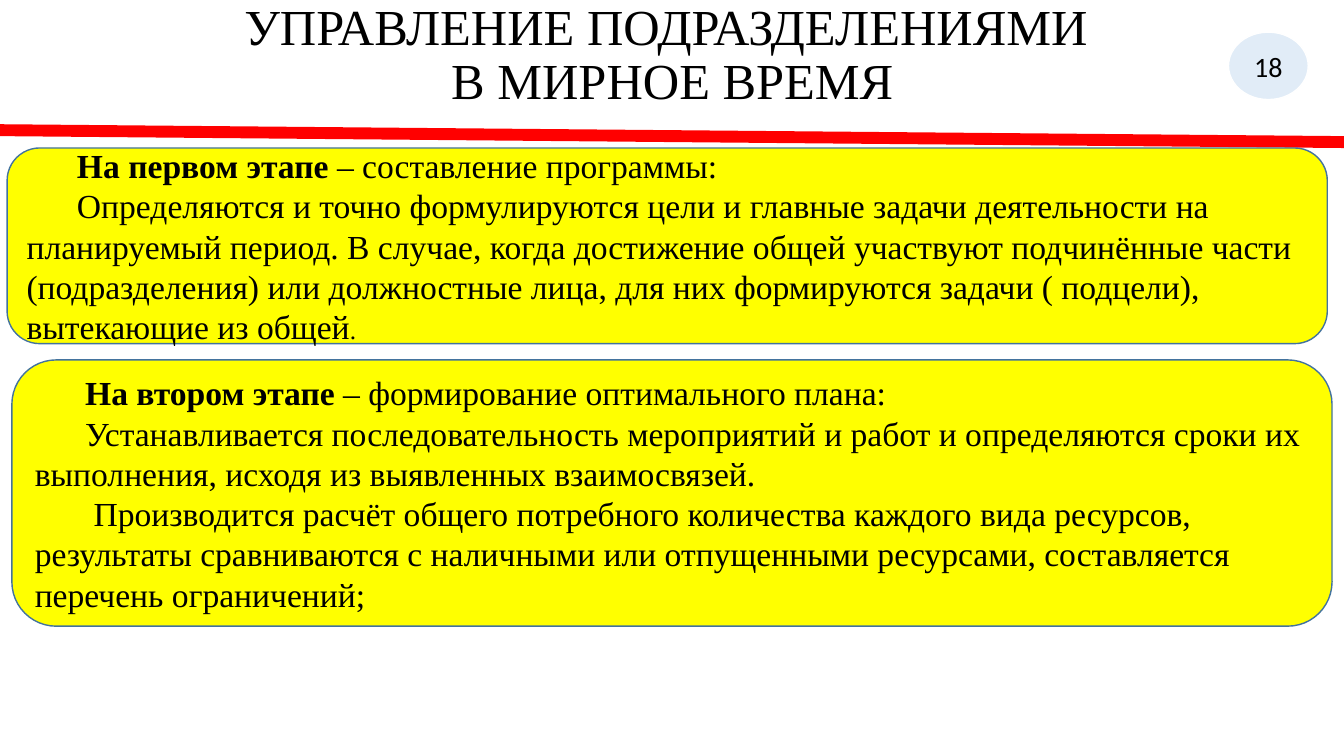
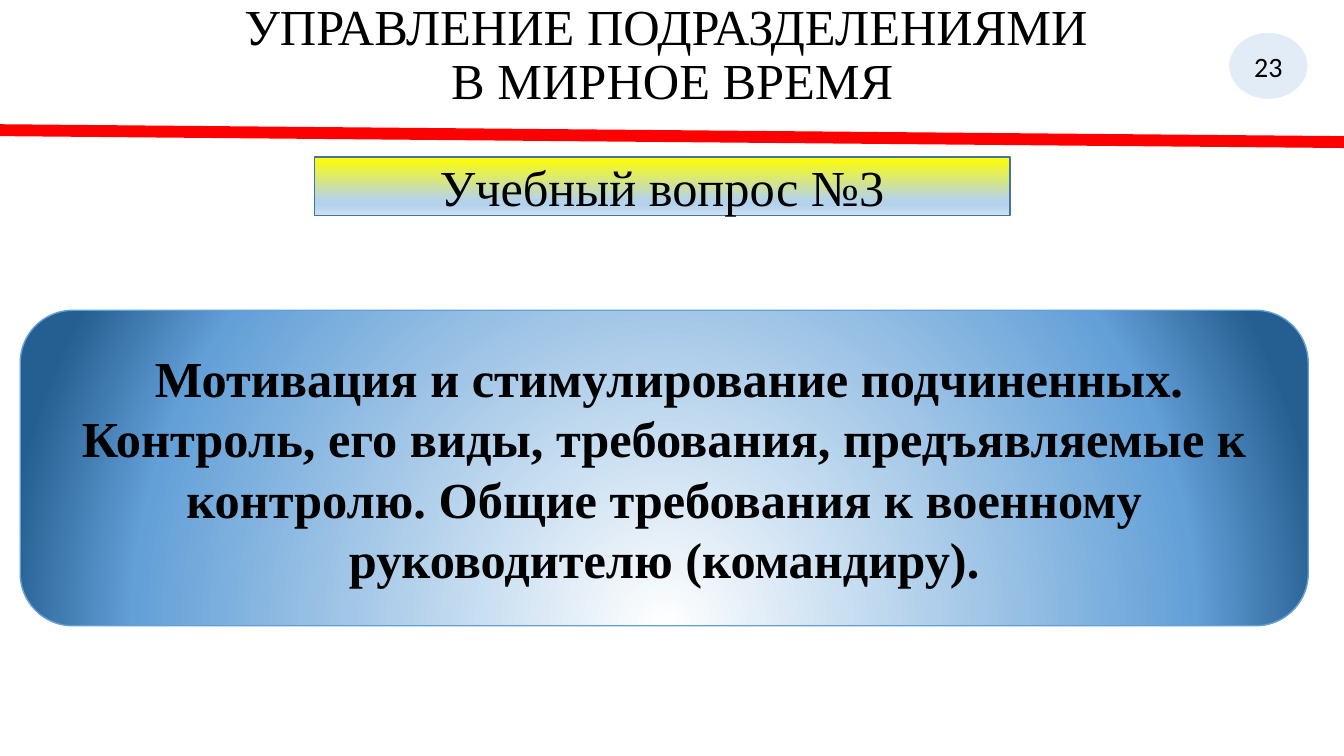
from lxml import etree
from pptx import Presentation
from pptx import util as u
from pptx.dml.color import RGBColor
from pptx.enum import shapes, text
from pptx.oxml import parse_xml
from pptx.oxml.ns import nsdecls, qn

SERIF, SANS = "Times New Roman", "Calibri"
BLACK, WHITE, RED, YELLOW = "000000", "FFFFFF", "FF0000", "FFFF00"
BLUE, OUTLINE, SKY = "5B9BD5", "43739E", "63A0D7"
WIDTH, HEIGHT = 33.87, 19.05
TITLE = "УПРАВЛЕНИЕ ПОДРАЗДЕЛЕНИЯМИ \vВ МИРНОЕ ВРЕМЯ"

QUESTION_STOPS = [(0, YELLOW), (74, "B5D2EC"), (83, "B5D2EC"), (100, "CEE1F2")]
TOPIC_STOPS = [(0, WHITE), (80, SKY), (100, "255E91")]
DOWNWARD = '<a:lin ang="5400000" scaled="0"/>'
FROM_BELOW = ('<a:path path="circle"><a:fillToRect l="50000" t="130000" '
              'r="50000" b="-30000"/></a:path>')


def color(value):
    return RGBColor.from_string(value)


class Deck:
    """Holds the shared style and the slide being built."""

    def __init__(self):
        self.prs = Presentation()
        self.prs.slide_width, self.prs.slide_height = u.Cm(WIDTH), u.Cm(HEIGHT)
        self.slide = None

    def new_slide(self, number):
        self.slide = self.prs.slides.add_slide(self.prs.slide_layouts[6])
        self.title()
        self.rule()
        self.badge(number)

    # Parts found on every slide
    def title(self):
        heading = self.slide.shapes.add_textbox(
            u.Cm(2.34), u.Cm(0), u.Cm(29.21), u.Cm(2.9))
        frame = heading.text_frame
        frame.word_wrap = True
        frame.margin_top = u.Cm(0.05)
        frame.text = TITLE
        line = frame.paragraphs[0]
        line.alignment = text.PP_ALIGN.CENTER
        line.line_spacing = 0.9
        for run in line.runs:
            self.style(run, 36)

    def rule(self):
        rule = self.slide.shapes.add_connector(
            shapes.MSO_CONNECTOR.STRAIGHT, u.Cm(0), u.Cm(3.28), u.Cm(WIDTH), u.Cm(3.58))
        rule.line.color.rgb = color(RED)
        rule.line.width = u.Pt(8.5)
        etree.SubElement(rule._element.spPr, qn("a:effectLst"))

    def badge(self, number):
        badge = self.box(shapes.MSO_SHAPE.OVAL, (30.96, 0.81, 2.01, 1.7), BLUE, WHITE)
        tint = badge._element.spPr.find(qn("a:solidFill"))[0]
        etree.SubElement(tint, qn("a:alpha"), val="18000")
        self.fill_text(badge, [[(str(number), 20, False)]], font=SANS)

    # Kinds of element
    def box(self, kind, place, fill, outline):
        box = self.slide.shapes.add_shape(kind, *map(u.Cm, place))
        box.shadow.inherit = False
        box.fill.solid()
        box.fill.fore_color.rgb = color(fill)
        box.line.color.rgb = color(outline)
        box.line.width = u.Pt(1)
        return box

    def gradient(self, box, stops, direction):
        steps = "".join(f'<a:gs pos="{at * 1000}"><a:srgbClr val="{shade}"/></a:gs>'
                        for at, shade in stops)
        solid = box._element.spPr.find(qn("a:solidFill"))
        solid.getparent().replace(solid, parse_xml(
            f'<a:gradFill {nsdecls("a")} rotWithShape="1">'
            f'<a:gsLst>{steps}</a:gsLst>{direction}</a:gradFill>'))

    def stage(self, place, paragraphs):
        panel = self.box(shapes.MSO_SHAPE.ROUNDED_RECTANGLE, place, YELLOW, OUTLINE)
        self.fill_text(panel, paragraphs, text.PP_ALIGN.LEFT, indent=1.27)

    # Text
    def fill_text(self, box, paragraphs, align=text.PP_ALIGN.CENTER, font=SERIF,
                  indent=0):
        frame = box.text_frame
        frame.word_wrap = True
        frame.vertical_anchor = text.MSO_ANCHOR.MIDDLE
        for index, parts in enumerate(paragraphs):
            paragraph = frame.add_paragraph() if index else frame.paragraphs[0]
            paragraph.alignment = align
            if indent:
                paragraph._p.get_or_add_pPr().set("indent", str(int(u.Cm(indent))))
            for words, size, bold in parts:
                run = paragraph.add_run()
                run.text = words
                self.style(run, size, bold, font)

    def style(self, run, size, bold=False, font=SERIF):
        run.font.name, run.font.size, run.font.bold = font, u.Pt(size), bold
        run.font.color.rgb = color(BLACK)


def main():
    deck = Deck()

    # Planning stages
    deck.new_slide(18)
    deck.stage((0.18, 3.73, 33.27, 4.93), [
        [("На первом этапе", 24, True), (" – составление программы:", 24, False)],
        [("Определяются и точно формулируются цели и главные задачи деятельности на "
          "планируемый период. В случае, когда достижение общей участвуют подчинённые "
          "части (подразделения) или должностные лица, для них формируются задачи "
          "( подцели), вытекающие из общей", 24, False), (".", 18, False)],
    ])
    deck.stage((0.3, 9.07, 33.27, 6.71), [
        [("На втором этапе", 24, True),
         (" – формирование оптимального плана:", 24, False)],
        [("Устанавливается последовательность мероприятий и работ и определяются сроки "
          "их выполнения, исходя из выявленных взаимосвязей.", 24, False)],
        [(" Производится расчёт общего потребного количества каждого вида ресурсов, "
          "результаты сравниваются с наличными или отпущенными ресурсами, "
          "составляется перечень ограничений;", 24, False)],
    ])

    # Study question
    deck.new_slide(23)
    question = deck.box(shapes.MSO_SHAPE.RECTANGLE, (7.92, 3.96, 17.53, 1.47),
                        YELLOW, OUTLINE)
    deck.gradient(question, QUESTION_STOPS, DOWNWARD)
    deck.fill_text(question, [[("Учебный вопрос №3", 36, False)]])
    topic = deck.box(shapes.MSO_SHAPE.ROUNDED_RECTANGLE, (0.51, 7.82, 32.46, 7.95),
                     SKY, SKY)
    deck.gradient(topic, TOPIC_STOPS, FROM_BELOW)
    deck.fill_text(topic, [[
        (" ", 28, False),
        ("Мотивация и стимулирование подчиненных. Контроль, его виды, требования, "
         "предъявляемые к контролю. Общие требования к военному руководителю "
         "(командиру).", 36, True),
    ]])

    deck.prs.save("out.pptx")


if __name__ == "__main__":
    main()
